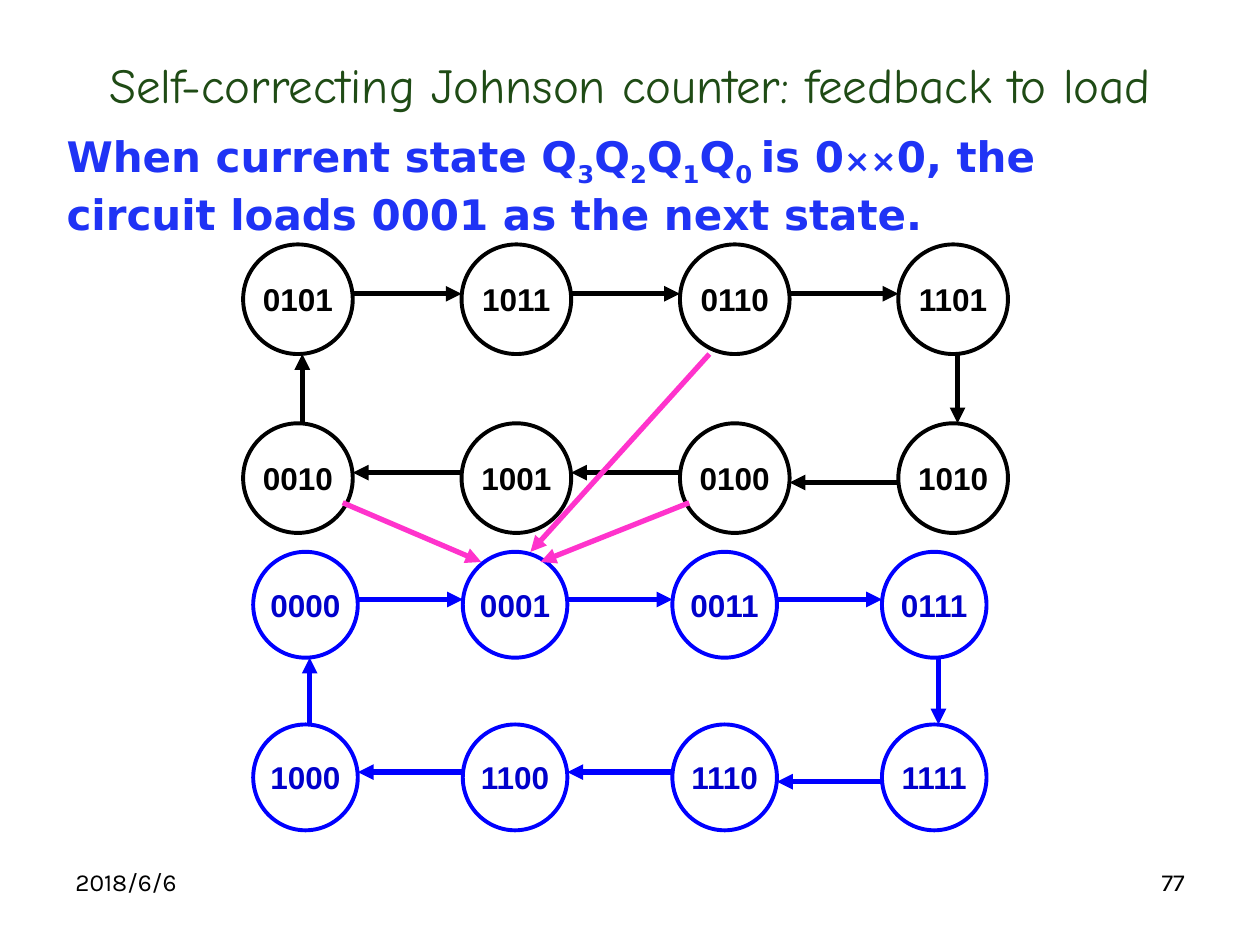
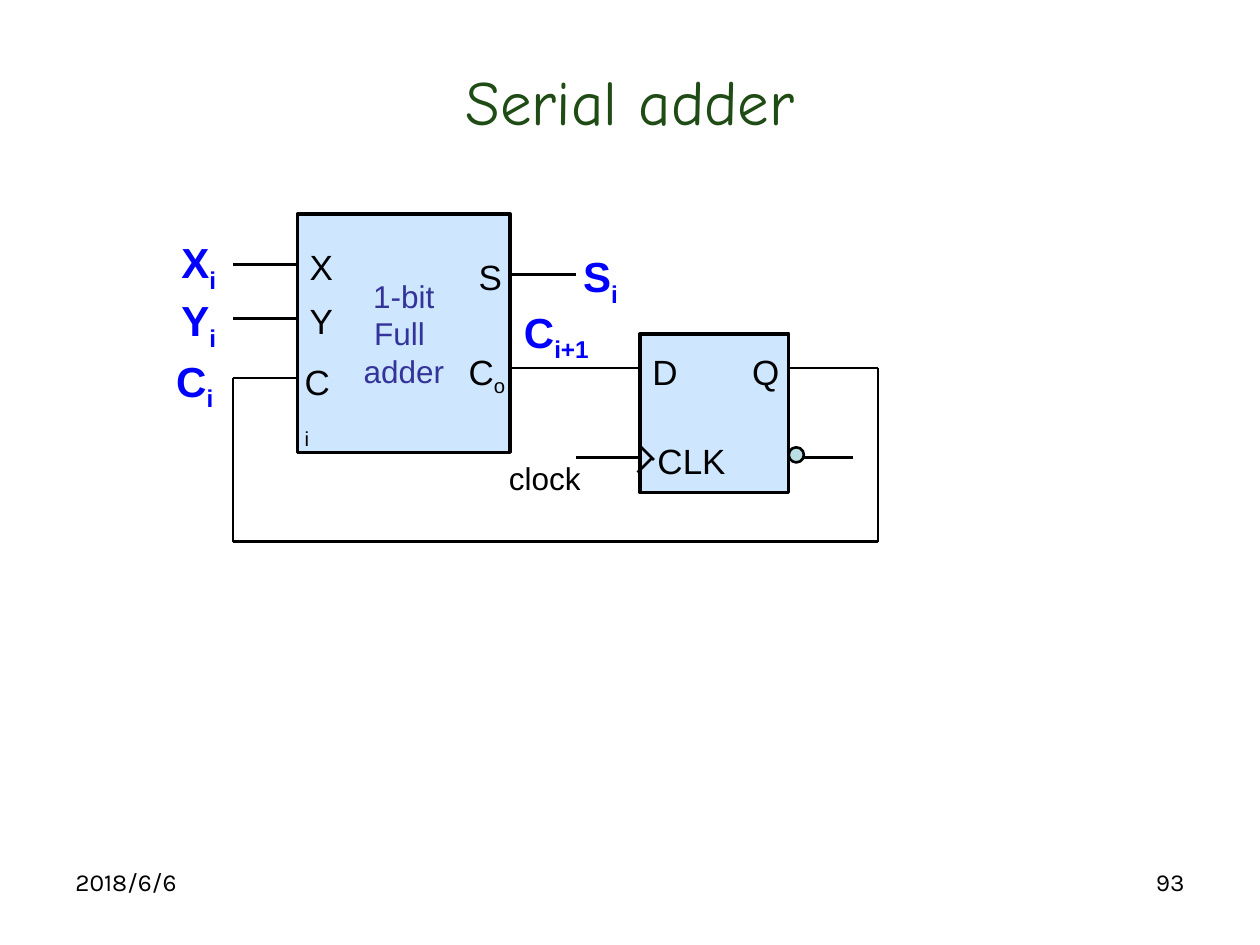
import itertools

import pptx
import pptx.dml.color
import pptx.enum.shapes
import pptx.enum.text
import pptx.oxml.ns
import pptx.util
from lxml import etree
from pptx.util import Inches

COLOURS = {
    "black": "000000",
    "title": "1F4B15",
    "headline": "1F33F5",
    "ring": "0000FF",
    "state": "0000CC",
    "correction": "FF33CC",
    "block": "CEE7FE",
    "block_name": "333399",
    "inverter": "BBE0E3",
}
ALIGN = pptx.enum.text.PP_ALIGN
ANCHOR = pptx.enum.text.MSO_ANCHOR
SHAPES = pptx.enum.shapes.MSO_SHAPE


def rgb(colour):
    return pptx.dml.color.RGBColor.from_string(COLOURS[colour])


class Deck:
    def __init__(self):
        self.presentation = pptx.Presentation()
        self.presentation.slide_width = Inches(10)
        self.presentation.slide_height = Inches(7.5)
        self.slide = None

    def start(self, title, top, size, number):
        blank = self.presentation.slide_layouts[6]
        self.slide = self.presentation.slides.add_slide(blank)
        self.text(0.5, 6.83, 2.33, 0.52, "2018/6/6", 14, font="Karla")
        self.text(7.17, 6.83, 2.33, 0.52, number, 14, font="Karla", align=ALIGN.RIGHT)
        self.text(0.5, top, 9, 0.99, title, size, "title", "Comic Neue",
                  align=ALIGN.CENTER, anchor=ANCHOR.MIDDLE)

    def style(self, run, size, colour, font, bold):
        run.font.size = pptx.util.Pt(size)
        run.font.name = font
        run.font.bold = bold
        run.font.color.rgb = rgb(colour)

    def text(self, left, top, width, height, content, size, colour="black",
             font="Arial", bold=False, align=ALIGN.LEFT, anchor=ANCHOR.TOP):
        box = self.slide.shapes.add_textbox(
            Inches(left), Inches(top), Inches(width), Inches(height))
        frame = box.text_frame
        frame.word_wrap = True
        frame.vertical_anchor = anchor
        paragraph = frame.paragraphs[0]
        paragraph.alignment = align
        for index, piece in enumerate(content.split("|")):
            if piece:
                run = paragraph.add_run()
                run.text = piece
                self.style(run, size, colour, font, bold)
                if index % 2:
                    run.font._element.set("baseline", "-25000")
        return paragraph

    def shape(self, kind, left, top, width, height, line, weight, fill=None,
              content="", colour="black", bold=False):
        shape = self.slide.shapes.add_shape(
            kind, Inches(left), Inches(top), Inches(width), Inches(height))
        shape.shadow.inherit = False
        if fill:
            shape.fill.solid()
            shape.fill.fore_color.rgb = rgb(fill)
        else:
            shape.fill.background()
        shape.line.color.rgb = rgb(line)
        shape.line.width = pptx.util.Pt(weight)
        frame = shape.text_frame
        frame.word_wrap = False
        frame.vertical_anchor = ANCHOR.MIDDLE
        frame.text = content
        for paragraph in frame.paragraphs:
            paragraph.alignment = ALIGN.CENTER
            for run in paragraph.runs:
                self.style(run, 18, colour, "Arial", bold)

    def line(self, start, end, colour="black", weight=1.5, arrow=False):
        connector = self.slide.shapes.add_connector(
            pptx.enum.shapes.MSO_CONNECTOR.STRAIGHT,
            *(Inches(value) for value in (*start, *end)))
        connector.line.color.rgb = rgb(colour)
        connector.line.width = pptx.util.Pt(weight)
        if arrow:
            outline = connector.line._get_or_add_ln()
            etree.SubElement(outline, pptx.oxml.ns.qn("a:tailEnd"), type="triangle")
        properties = connector._element.spPr
        etree.SubElement(properties, pptx.oxml.ns.qn("a:effectLst"))

    def arrow(self, start, end, colour):
        self.line(start, end, colour, 3, True)

    def state_ring(self, states, left, right, top, bottom, width, height, line, colour):
        pitch = (right - left) / 3
        columns = [left + pitch * column for column in range(4)]
        for row, row_top in zip(states, (top, bottom)):
            for state, column in zip(row, columns):
                self.shape(SHAPES.OVAL, column, row_top, width, height,
                           line, 2.25, None, state, colour, True)
        for column, following in itertools.pairwise(columns):
            upper = top + 0.45 * height
            lower = bottom + (0.54 if following == columns[-1] else 0.45) * height
            self.arrow((column + width, upper), (following, upper), line)
            self.arrow((following, lower), (column + width, lower), line)
        rise, fall = left + 0.54 * width, right + 0.54 * width
        self.arrow((fall, top + height), (fall, bottom), line)
        self.arrow((rise, bottom), (rise, top + height), line)


def johnson_counter(deck):
    deck.start("Self-correcting Johnson counter: feedback to load", 0.17, 28, "77")
    headline = deck.text(
        0.43, 0.99, 8.9, 0.9,
        "When current state Q|3|Q|2|Q|1|Q|0 |is 0||××||0, the circuit loads "
        "0001 as the next state.",
        24, "headline", "DejaVu Sans", True)
    for run in headline.runs:
        if run.text == "××":
            run.font.size = pptx.util.Pt(18)
    deck.state_ring((("0000", "0001", "0011", "0111"), ("1000", "1100", "1110", "1111")),
                    2.01, 7, 4.38, 5.75, 0.83, 0.84, "ring", "state")
    deck.state_ring((("0101", "1011", "0110", "1101"), ("0010", "1001", "0100", "1010")),
                    1.93, 7.13, 1.94, 3.36, 0.87, 0.87, "black", "black")
    for start, end in (((5.47, 3.99), (4.29, 4.46)),
                       ((2.72, 3.99), (3.82, 4.46)),
                       ((5.63, 2.81), (4.21, 4.38))):
        deck.arrow(start, end, "correction")


def serial_adder(deck):
    deck.start("Serial adder", 0.3, 36, "93")
    deck.shape(SHAPES.RECTANGLE, 2.36, 1.7, 1.69, 1.89, "black", 2, "block",
               "1-bit\nFull \nadder", "block_name")
    deck.shape(SHAPES.RECTANGLE, 5.08, 2.65, 1.18, 1.26, "black", 2, "block")

    for left, right, height in ((1.85, 2.36, 2.1), (1.85, 2.36, 2.53),
                                (4.06, 4.57, 2.18), (4.06, 5.08, 2.92),
                                (4.57, 5.08, 3.63), (6.26, 6.77, 3.63)):
        deck.line((left, height), (right, height))
    feedback = ((6.26, 2.92), (6.97, 2.92), (6.97, 4.3), (1.85, 4.3), (1.85, 3), (2.36, 3))
    for start, end in itertools.pairwise(feedback):
        deck.line(start, end)
    deck.shape(SHAPES.OVAL, 6.26, 3.55, 0.12, 0.12, "black", 1.5, "inverter")
    deck.line((5.08, 3.54), (5.19, 3.65))
    deck.line((5.06, 3.75), (5.17, 3.64))

    pins = (("D", 5.08, 2.73, 0.39), ("CLK", 5.12, 3.44, 0.83), ("Q", 5.87, 2.73, 0.35),
            ("X", 2.36, 1.9, 0.35), ("Y", 2.36, 2.33, 0.28), ("C|i", 2.32, 2.81, 0.43),
            ("S", 3.7, 1.98, 0.43), ("C|o", 3.62, 2.73, 0.51))
    for pin, left, top, width in pins:
        deck.text(left, top, width, 0.43, pin, 20)
    signals = (("X|i", 1.34, 1.83, 0.55), ("Y|i", 1.34, 2.29, 0.59),
               ("C|i", 1.3, 2.77, 0.59), ("S|i", 4.53, 1.94, 0.55),
               ("C|i+1", 4.06, 2.38, 0.79))
    for signal, left, top, width in signals:
        deck.text(left, top, width, 0.5, signal, 24, "ring", bold=True)
    deck.text(3.94, 3.59, 0.83, 0.4, "clock", 18)


def main():
    deck = Deck()
    johnson_counter(deck)
    serial_adder(deck)
    deck.presentation.save("out.pptx")


if __name__ == "__main__":
    main()
